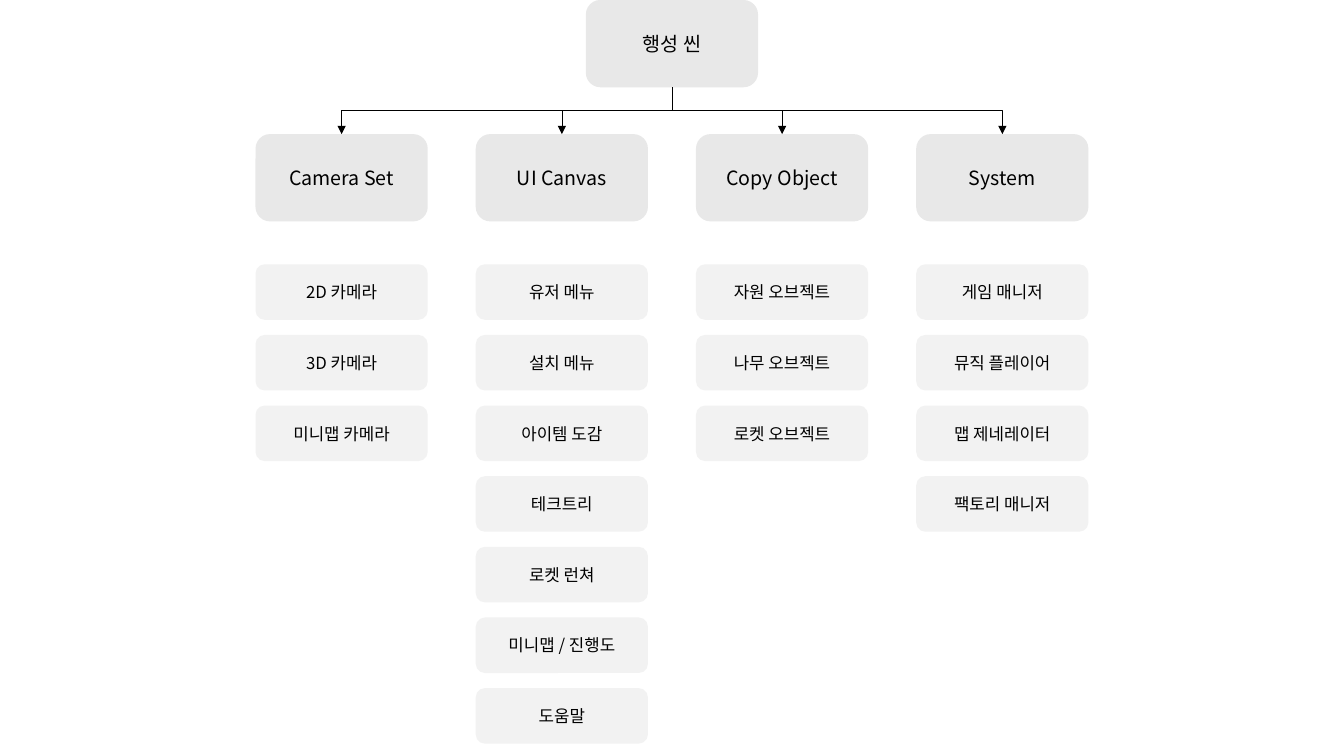
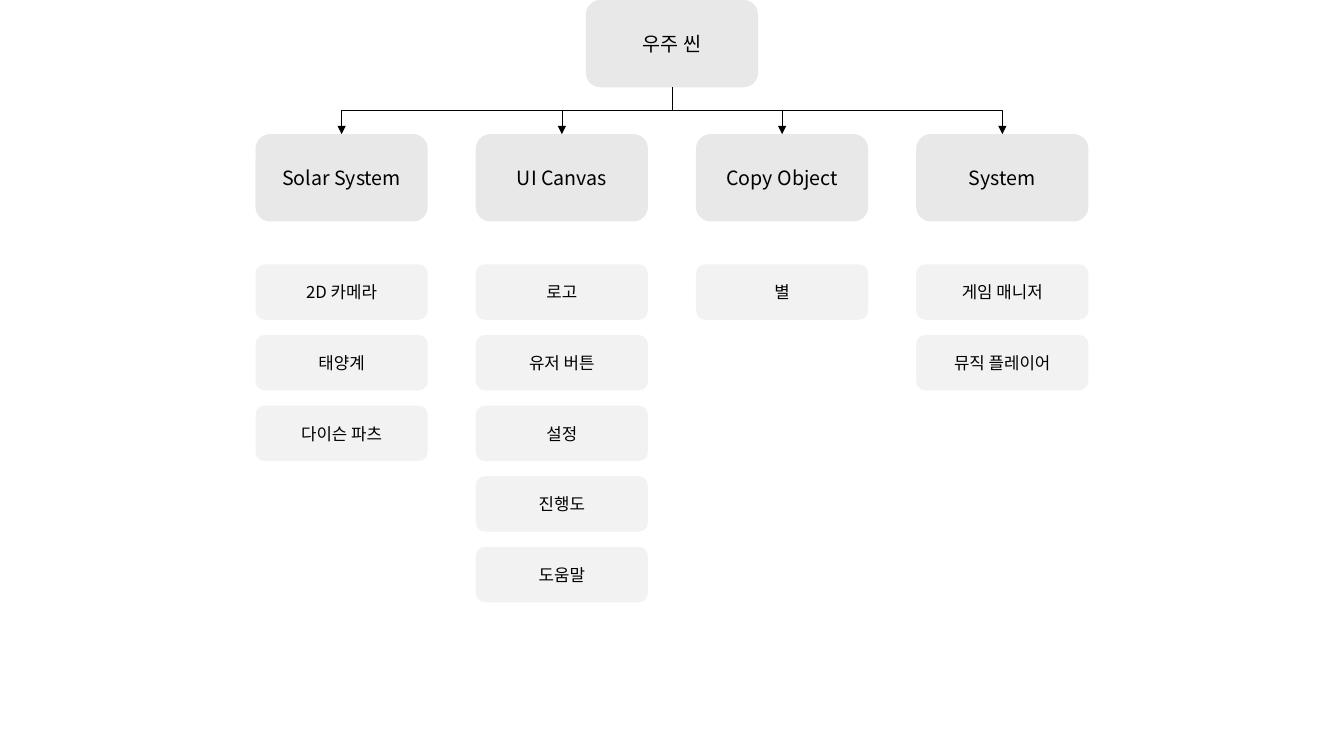
from dataclasses import dataclass

import lxml.etree
import pptx
import pptx.dml.color
import pptx.enum.shapes
import pptx.enum.text
import pptx.oxml.ns
import pptx.util

# Shared look
COLORS = {"heading": "E8E8E8", "item": "F2F2F2", "ink": "000000"}
FONT = "Noto Sans CJK KR"

# Layout rules, in centimetres
PAGE_WIDTH, PAGE_HEIGHT = 33.87, 19.05
BOX_WIDTH = 4.34
COLUMN_STEP = 5.55
HEADING_TOP = 3.38
ITEM_TOP, ITEM_STEP = 6.66, 1.78


@dataclass(frozen=True)
class BoxStyle:
    height: float
    fill: str
    size: int


@dataclass(frozen=True)
class Branch:
    heading: str
    items: tuple[str, ...]


@dataclass(frozen=True)
class Scene:
    title: str
    branches: tuple[Branch, ...]


HEADING = BoxStyle(2.2, "heading", 14)
ITEM = BoxStyle(1.4, "item", 12)

SCENES = (
    Scene("행성 씬", (
        Branch("Camera Set", ("2D 카메라", "3D 카메라", "미니맵 카메라")),
        Branch("UI Canvas", ("유저 메뉴", "설치 메뉴", "아이템 도감", "테크트리",
                             "로켓 런쳐", "미니맵 / 진행도", "도움말")),
        Branch("Copy Object", ("자원 오브젝트", "나무 오브젝트", "로켓 오브젝트")),
        Branch("System", ("게임 매니저", "뮤직 플레이어", "맵 제네레이터", "팩토리 매니저")),
    )),
    Scene("우주 씬", (
        Branch("Solar System", ("2D 카메라", "태양계", "다이슨 파츠")),
        Branch("UI Canvas", ("로고", "유저 버튼", "설정", "진행도", "도움말")),
        Branch("Copy Object", ("별",)),
        Branch("System", ("게임 매니저", "뮤직 플레이어")),
    )),
)


def color(name: str) -> pptx.dml.color.RGBColor:
    return pptx.dml.color.RGBColor.from_string(COLORS[name])


def apply_format(target: object, values: dict[str, object]) -> None:
    for name, value in values.items():
        setattr(target, name, value)


def add_box(page, text: str, left: float, top: float, style: BoxStyle):
    """Draw a rounded box with one centred line of text."""
    box = page.shapes.add_shape(
        pptx.enum.shapes.MSO_SHAPE.ROUNDED_RECTANGLE,
        *map(pptx.util.Cm, (left, top, BOX_WIDTH, style.height)))
    box.shadow.inherit = False
    box.fill.solid()
    box.fill.fore_color.rgb = color(style.fill)
    box.line.fill.background()
    apply_format(box.text_frame, {
        "word_wrap": True,
        "vertical_anchor": pptx.enum.text.MSO_ANCHOR.MIDDLE,
    })
    para = box.text_frame.paragraphs[0]
    para.alignment = pptx.enum.text.PP_ALIGN.CENTER
    span = para.add_run()
    span.text = text
    apply_format(span.font, {"name": FONT, "size": pptx.util.Pt(style.size)})
    span.font.color.rgb = color("ink")
    # Korean glyphs use the East Asian typeface
    lxml.etree.SubElement(span.font._element, pptx.oxml.ns.qn("a:ea"), typeface=FONT)
    return box


def add_arrow(page, parent, child) -> None:
    """Link the bottom of parent to the top of child with a bent arrow."""
    start_x, start_y = parent.left + parent.width // 2, parent.top + parent.height
    end_x, end_y = child.left + child.width // 2, child.top
    arrow = page.shapes.add_connector(
        pptx.enum.shapes.MSO_CONNECTOR.ELBOW, start_x, start_y, end_x, end_y)
    arrow.begin_connect(parent, 2)
    arrow.end_connect(child, 0)

    # A quarter turn makes the elbow leave downwards
    drop, reach = end_y - start_y, abs(end_x - start_x)
    apply_format(arrow, {
        "left": (start_x + end_x - drop) // 2,
        "top": (start_y + end_y - reach) // 2,
        "width": drop,
        "height": reach,
    })
    to_left = end_x < start_x
    properties = arrow._element.spPr
    properties.xfrm.set("rot", str((90 if to_left else 270) * 60000))
    properties.xfrm.set("flipH", "0" if to_left else "1")

    # Line and arrowhead
    arrow.line.width = pptx.util.Pt(0.5)
    arrow.line.color.rgb = color("ink")
    lxml.etree.SubElement(properties.ln, pptx.oxml.ns.qn("a:tailEnd"), type="triangle")
    lxml.etree.SubElement(properties, pptx.oxml.ns.qn("a:effectLst"))


def add_scene(deck, scene: Scene) -> None:
    page = deck.slides.add_slide(deck.slide_layouts[6])
    center_left = (PAGE_WIDTH - BOX_WIDTH) / 2
    title_box = add_box(page, scene.title, center_left, 0, HEADING)
    first_left = center_left - COLUMN_STEP * (len(scene.branches) - 1) / 2
    for column, branch in enumerate(scene.branches):
        left = first_left + column * COLUMN_STEP
        heading_box = add_box(page, branch.heading, left, HEADING_TOP, HEADING)
        add_arrow(page, title_box, heading_box)
        for row, item in enumerate(branch.items):
            add_box(page, item, left, ITEM_TOP + row * ITEM_STEP, ITEM)


# Build the deck
deck = pptx.Presentation()
apply_format(deck, {
    "slide_width": pptx.util.Cm(PAGE_WIDTH),
    "slide_height": pptx.util.Cm(PAGE_HEIGHT),
})
for scene in SCENES:
    add_scene(deck, scene)
deck.save("out.pptx")
